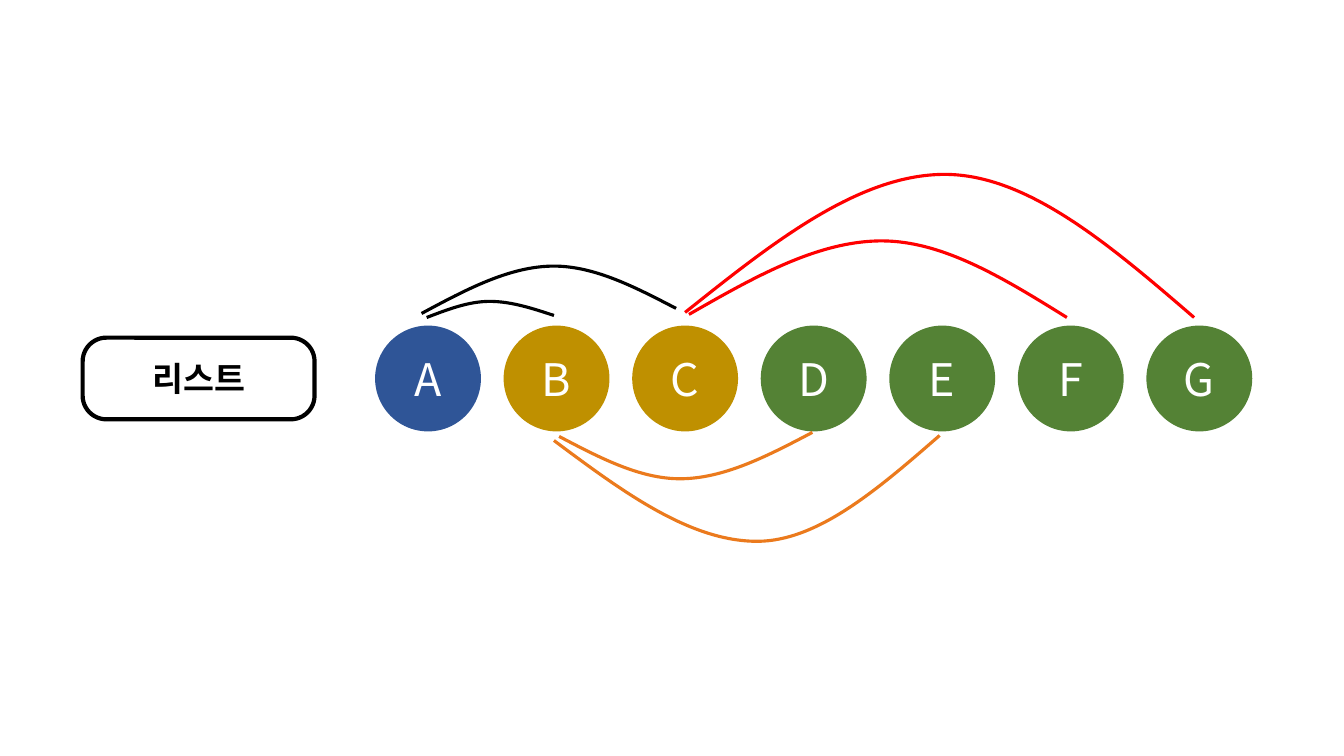
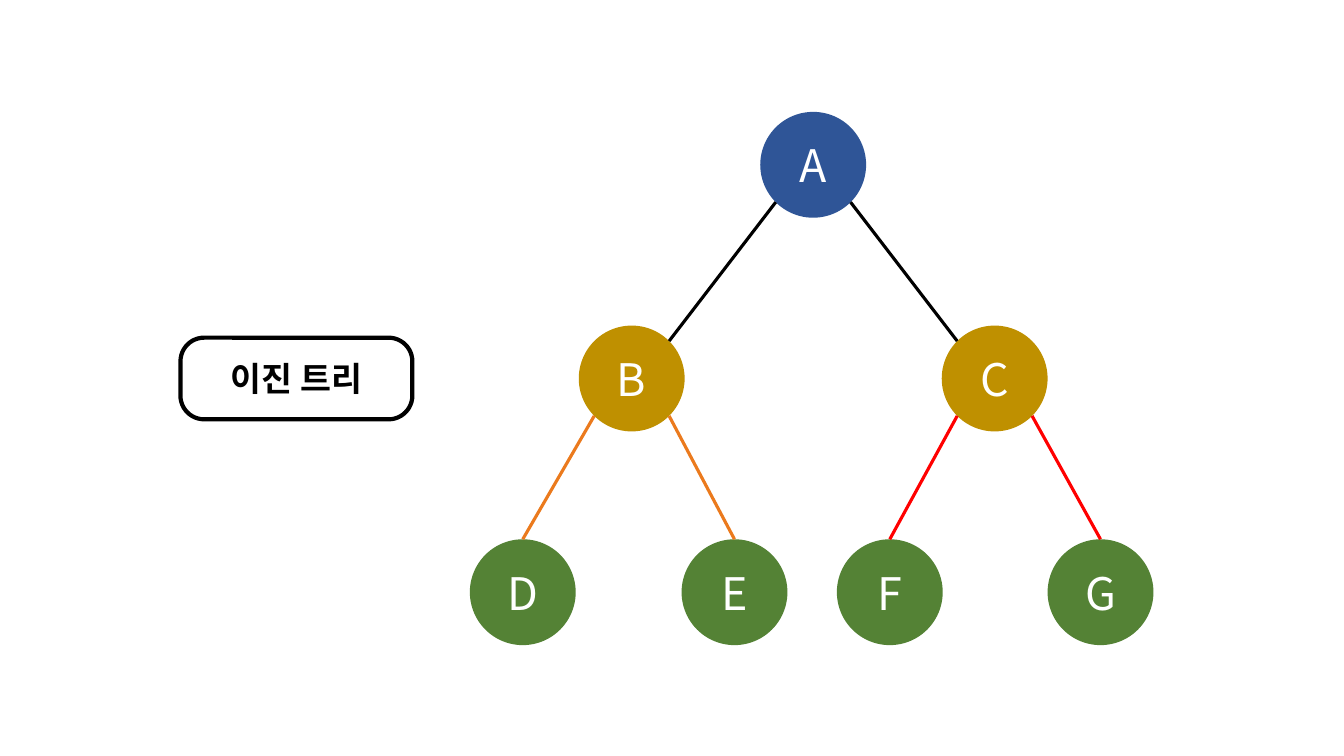
import dataclasses
import math

import pptx
import pptx.dml.color
import pptx.enum.shapes
import pptx.enum.text
import pptx.oxml.ns
import pptx.oxml.xmlchemy
import pptx.util
from lxml import etree

qn = pptx.oxml.ns.qn
SHAPES = pptx.enum.shapes.MSO_SHAPE


@dataclasses.dataclass(frozen=True)
class Theme:
    font: str = "Noto Sans CJK KR"
    label_size: int = 24
    node_size: int = 32
    label_line: float = 3
    link_line: float = 2.25
    ink: str = "000000"
    paper: str = "FFFFFF"
    levels: tuple = ("2F5597", "BF9000", "548235")
    links: tuple = (("A", "000000"), ("B", "EB7A1D"), ("C", "FF0000"))

    def link_colour(self, parent):
        return dict(self.links)[parent]


THEME = Theme()
PAGE_WIDTH, PAGE_HEIGHT = 13.33, 7.5
NODES = "ABCDEFG"
DIAMETER = 1.05
MIDDLE = 3.755
LABEL_WIDTH, LABEL_HEIGHT = 2.3, 0.81

# Parent, side (-1 above, 1 below), then start, peak and end
# as (column, gap from the edge of the nodes).
ARCS = (
    ("A", -1, (-0.01, 0.08), (0.48, 0.24), (0.98, 0.10)),
    ("A", -1, (-0.05, 0.12), (0.98, 0.59), (1.93, 0.17)),
    ("B", 1, (2.99, 0.01), (1.96, 0.47), (1.02, 0.05)),
    ("B", 1, (0.98, 0.09), (2.56, 1.09), (3.98, 0.04)),
    ("C", -1, (2.03, 0.11), (3.53, 0.84), (4.97, 0.08)),
    ("C", -1, (2.00, 0.13), (4.02, 1.50), (5.96, 0.08)),
)
# Offset of each node from the root, in order of NODES.
TREE_OFFSETS = (0, -1.8, 1.8, -2.88, -0.78, 0.76, 2.85)


def inches(*lengths):
    return [pptx.util.Inches(length) for length in lengths]


def colour(code):
    return pptx.dml.color.RGBColor.from_string(code)


def draw_line(line, code, width):
    line.color.rgb = colour(code)
    line.width = pptx.util.Pt(width)


def add_text(shape, text, size, code, bold=False):
    frame = shape.text_frame
    frame.word_wrap = True
    frame.margin_left = frame.margin_right = 0
    frame.vertical_anchor = pptx.enum.text.MSO_ANCHOR.MIDDLE
    para = frame.paragraphs[0]
    para.alignment = pptx.enum.text.PP_ALIGN.CENTER
    span = para.add_run()
    span.text = text
    span.font.name = THEME.font
    span.font.size = pptx.util.Pt(size)
    span.font.bold = bold
    span.font.color.rgb = colour(code)
    east_asian = etree.SubElement(span.font._element, qn("a:ea"))
    east_asian.set("typeface", THEME.font)


def add_label(page, text, left):
    box = (left, MIDDLE - LABEL_HEIGHT / 2, LABEL_WIDTH, LABEL_HEIGHT)
    label = page.shapes.add_shape(SHAPES.ROUNDED_RECTANGLE, *inches(*box))
    label.adjustments[0] = 0.29
    label.shadow.inherit = False
    label.fill.background()
    draw_line(label.line, THEME.ink, THEME.label_line)
    add_text(label, text, THEME.label_size, THEME.ink, bold=True)


def add_node(page, index, centre):
    """Draw the node; its place in the binary tree decides its colour."""
    x, y = centre
    box = (x - DIAMETER / 2, y - DIAMETER / 2, DIAMETER, DIAMETER)
    node = page.shapes.add_shape(SHAPES.OVAL, *inches(*box))
    node.shadow.inherit = False
    node.fill.solid()
    node.fill.fore_color.rgb = colour(THEME.levels[int(math.log2(index + 1))])
    node.line.fill.background()
    add_text(node, NODES[index], THEME.node_size, THEME.paper)


def add_arc(page, start, peak, end, code):
    """Draw two Bezier curves that meet level at the peak."""
    def between(first, second, across, down):
        return (first[0] + (second[0] - first[0]) * across,
                first[1] + (second[1] - first[1]) * down)

    points = (between(start, peak, 1 / 3, 1 / 2), between(start, peak, 2 / 3, 1), peak,
              between(peak, end, 1 / 3, 0), between(peak, end, 2 / 3, 1 / 2), end)
    builder = page.shapes.build_freeform(*inches(*start))
    builder.add_line_segments([inches(*point) for point in points], close=False)
    arc = builder.convert_to_shape()
    arc.shadow.inherit = False
    arc.fill.background()
    draw_line(arc.line, code, THEME.link_line)

    segments = list(arc._element.iter(qn("a:lnTo")))
    for first in range(0, len(segments), 3):
        curve = etree.Element(qn("a:cubicBezTo"))
        segments[first].addprevious(curve)
        for segment in segments[first:first + 3]:
            curve.append(segment[0])
            segment.getparent().remove(segment)


def add_branch(page, start, end, code):
    branch = page.shapes.add_connector(
        pptx.enum.shapes.MSO_CONNECTOR.STRAIGHT, *inches(*start, *end))
    draw_line(branch.line, code, THEME.link_line)
    etree.SubElement(branch._element.spPr, qn("a:effectLst"))


def add_list(page, box):
    """Set the nodes in one row across the box, with arcs above and below."""
    left, top, width, height = box
    pitch = (width - DIAMETER) / (len(NODES) - 1)
    first, middle = left + DIAMETER / 2, top + height / 2
    for index in range(len(NODES)):
        add_node(page, index, (first + index * pitch, middle))
    for parent, side, *stops in ARCS:
        points = [(first + column * pitch, middle + side * (DIAMETER / 2 + gap))
                  for column, gap in stops]
        add_arc(page, *points, THEME.link_colour(parent))


def add_tree(page, box):
    """Set the nodes on three levels, the root at its offset from the left."""
    left, top, width, height = box
    root = left + DIAMETER / 2 - min(TREE_OFFSETS)
    step = (height - DIAMETER) / 2
    centres = [(root + offset, top + DIAMETER / 2 + step * int(math.log2(index + 1)))
               for index, offset in enumerate(TREE_OFFSETS)]
    for index, centre in enumerate(centres):
        add_node(page, index, centre)
    diagonal = DIAMETER / 2 * math.sqrt(0.5)
    for index in range(1, len(NODES)):
        parent = (index - 1) // 2
        side = -1 if index % 2 else 1
        x, y = centres[parent]
        start = (x + side * diagonal, y + diagonal)
        x, y = centres[index]
        if parent == 0:
            end = (x - side * diagonal, y - diagonal)
        else:
            end = (x, y - DIAMETER / 2)
        add_branch(page, start, end, THEME.link_colour(NODES[parent]))


def main():
    deck = pptx.Presentation()
    deck.slide_width, deck.slide_height = inches(PAGE_WIDTH, PAGE_HEIGHT)
    blank = deck.slide_layouts[6]
    slides = (
        ("리스트", 0.82, add_list, (3.72, 3.23, 8.7, 1.05)),
        ("이진 트리", 1.79, add_tree, (4.66, 1.11, 6.78, 5.29)),
    )
    for text, label_left, add_diagram, box in slides:
        page = deck.slides.add_slide(blank)
        add_label(page, text, label_left)
        add_diagram(page, box)
    deck.save("out.pptx")


if __name__ == "__main__":
    main()
